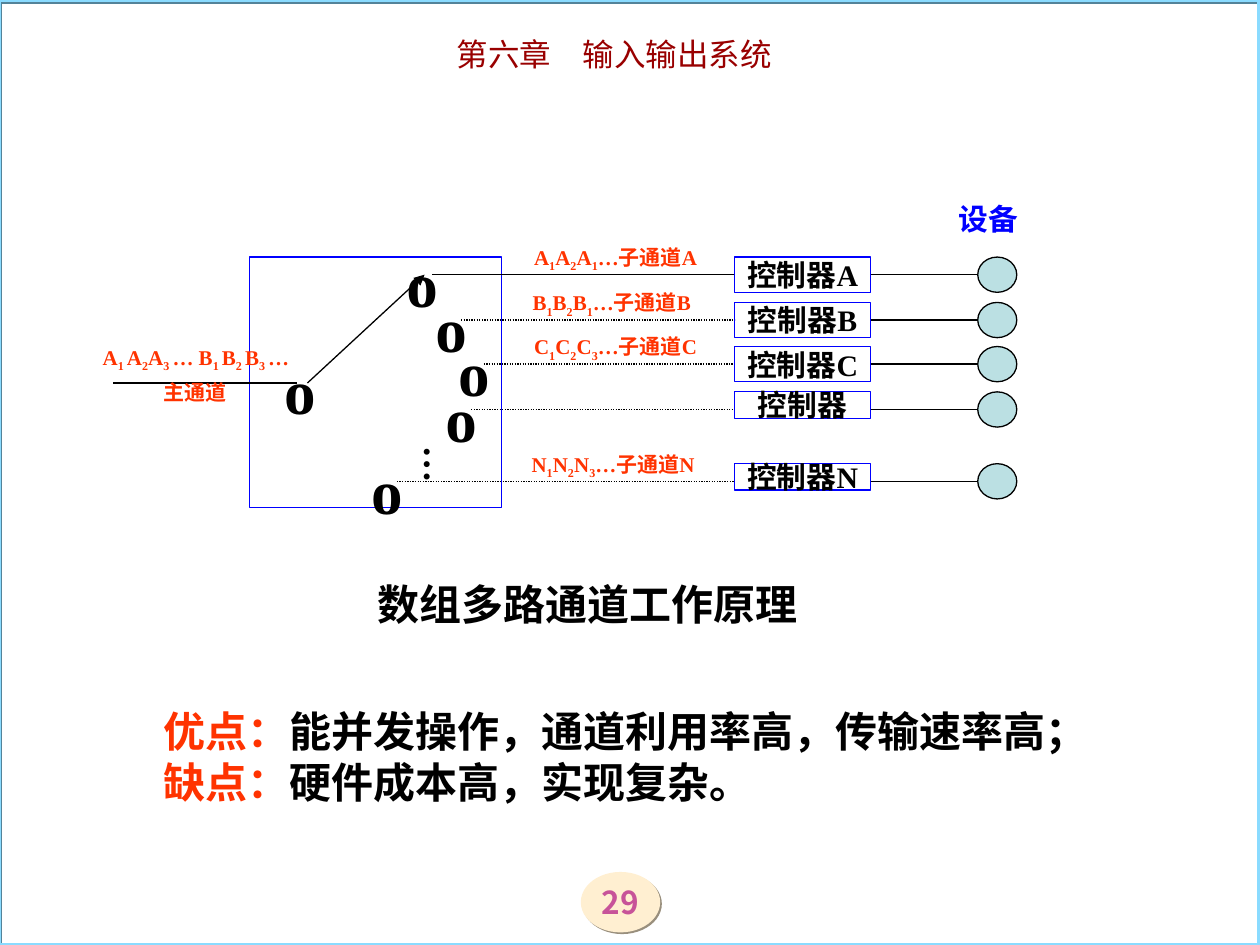
from dataclasses import dataclass

from lxml.etree import SubElement
from pptx import Presentation
from pptx.dml.color import RGBColor
from pptx.enum.dml import MSO_LINE_DASH_STYLE as Dash
from pptx.enum.shapes import MSO_CONNECTOR as Connector, MSO_SHAPE as Shape
from pptx.enum.text import MSO_ANCHOR as Anchor, MSO_AUTO_SIZE as AutoSize, PP_ALIGN as Align
from pptx.oxml.ns import qn
from pptx.util import Inches, Pt


@dataclass(frozen=True)
class Theme:
    """Colours, fonts and type sizes of the slide."""
    black: str = "000000"
    blue: str = "0000FF"
    signal: str = "FF3300"
    chapter: str = "990000"
    device: str = "BBE0E3"
    frame: str = "8ADBFF"
    frame_shadow: str = "538399"
    badge: str = "FFEFD1"
    badge_shadow: str = "998F7D"
    page: str = "C75399"
    serif: str = "Times New Roman"
    sans: str = "Arial"
    cjk: str = "Noto Sans CJK SC"
    cjk_title: str = "Noto Sans CJK JP"
    small: int = 12
    label: int = 17
    heading: int = 18
    dots: int = 21
    body: int = 24
    contact: int = 36


@dataclass(frozen=True)
class Channel:
    """One subchannel: contact, controller and device on a common axis."""
    axis: float
    contact_left: float
    controller: str
    controller_height: float
    stream: str = ""
    stream_left: float = 4.11


THEME = Theme()
CHANNELS = (
    Channel(2.18, 3.14, "控制器A", 0.28, "A|1|A|2|A|1|…子通道A"),
    Channel(2.54, 3.37, "控制器B", 0.28, "B|1|B|2|B|1|…子通道B", 4.08),
    Channel(2.89, 3.55, "控制器C", 0.28, "C|1|C|2|C|3|…子通道C"),
    Channel(3.25, 3.45, "控制器", 0.21),
    Channel(3.82, 2.86, "控制器N", 0.21, "N|1|N|2|N|3|…子通道N", 4.09),
)


def subscripts(marked):
    """Split text at bars into alternating normal and subscript parts."""
    return [(part, {"baseline": -25000} if index % 2 else {})
            for index, part in enumerate(marked.split("|"))]


def write(shape, parts, *, size, color=THEME.black, font=THEME.serif, cjk=THEME.cjk,
          bold=True, italic=False, align=Align.CENTER, anchor=Anchor.TOP,
          margins=(0.09, 0.04), wrap=False):
    """Fill a shape with one paragraph of plain text or formatted parts."""
    frame = shape.text_frame
    frame.auto_size, frame.word_wrap, frame.vertical_anchor = AutoSize.NONE, wrap, anchor
    frame.margin_left = frame.margin_right = Inches(margins[0])
    frame.margin_top = frame.margin_bottom = Inches(margins[1])
    paragraph = frame.paragraphs[0]
    paragraph.alignment = align
    for content, override in [(parts, {})] if isinstance(parts, str) else parts:
        run = paragraph.add_run()
        run.text = content
        run.font.size, run.font.name = Pt(size), font
        run.font.bold, run.font.italic = bold, italic
        run.font.color.rgb = RGBColor.from_string(override.get("color", color))
        properties = run._r.get_or_add_rPr()
        SubElement(properties, qn("a:ea")).set("typeface", cjk)
        if "baseline" in override:
            properties.set("baseline", str(override["baseline"]))


def add_text(slide, parts, left, top, width, height, **style):
    """Add a text box and return it."""
    box = slide.shapes.add_textbox(Inches(left), Inches(top), Inches(width), Inches(height))
    write(box, parts, **style)
    return box


def add_figure(slide, kind, left, top, width, height, fill=None, line=None, weight=0.75):
    """Add a preset shape with optional fill and outline."""
    figure = slide.shapes.add_shape(kind, Inches(left), Inches(top), Inches(width), Inches(height))
    figure.shadow.inherit = False
    if fill:
        figure.fill.solid()
        figure.fill.fore_color.rgb = RGBColor.from_string(fill)
    else:
        figure.fill.background()
    if line:
        figure.line.color.rgb = RGBColor.from_string(line)
        figure.line.width = Pt(weight)
    else:
        figure.line.fill.background()
    return figure


def cast_shadow(figure, color):
    """Give a figure a hard shadow to the lower right."""
    effects = figure._element.spPr.find(qn("a:effectLst"))
    shadow = SubElement(effects, qn("a:outerShdw"), dist=str(Pt(1.4)), dir="2700000",
                        algn="ctr", rotWithShape="0")
    SubElement(shadow, qn("a:srgbClr"), val=color)


def add_wire(slide, start, end, dotted=False, arrow=False):
    """Add a thin black line between two points."""
    wire = slide.shapes.add_connector(Connector.STRAIGHT, *map(Inches, (*start, *end)))
    wire.line.color.rgb = RGBColor.from_string(THEME.black)
    wire.line.width = Pt(0.75)
    if dotted:
        wire.line.dash_style = Dash.ROUND_DOT
    if arrow:
        SubElement(wire.line._get_or_add_ln(), qn("a:tailEnd"), type="triangle")
    SubElement(wire._element.spPr, qn("a:effectLst"))


def add_contact(slide, left, top):
    """Add one switch contact."""
    add_text(slide, "o", left, top, 0.42, 0.69, size=THEME.contact)


def add_channel(slide, channel, dotted):
    """Add a subchannel from its contact to its device."""
    axis, top = channel.axis, channel.axis - 0.14
    add_contact(slide, channel.contact_left, axis - 0.28)
    add_wire(slide, (channel.contact_left + 0.29, axis), (5.83, axis), dotted)
    controller = add_figure(slide, Shape.RECTANGLE, 5.83, top, 1.08,
                            channel.controller_height, line=THEME.blue)
    write(controller, channel.controller, size=THEME.label, anchor=Anchor.MIDDLE)
    add_wire(slide, (6.91, axis), (7.76, axis))
    add_figure(slide, Shape.OVAL, 7.76, top, 0.31, 0.28, THEME.device, THEME.black)
    if channel.stream:
        add_text(slide, subscripts(channel.stream), channel.stream_left, axis - 0.28,
                 1.55, 0.31, size=THEME.small, color=THEME.signal)


def add_switch(slide):
    """Add the main channel and the rotating switch."""
    add_figure(slide, Shape.RECTANGLE, 1.98, 2.04, 2, 1.99, line=THEME.blue)
    add_wire(slide, (2.44, 3.04), (3.37, 2.18), arrow=True)
    add_contact(slide, 2.17, 2.75)
    add_wire(slide, (0.9, 3.04), (2.36, 3.04))
    add_text(slide, subscripts("A|1 |A|2|A|3 |… B|1 |B|2 |B|3 |…"), 0.67, 2.69, 1.77, 0.31,
             size=THEME.small, color=THEME.signal, wrap=True)
    add_text(slide, "主通道", 1.21, 2.97, 0.67, 0.29, size=THEME.small, color=THEME.signal)
    more = add_text(slide, "…", 3.18, 3.46, 0.52, 0.42, size=THEME.dots, italic=True,
                    margins=(0.04, 0.09), wrap=True)
    more.text_frame._txBody.bodyPr.set("vert", "eaVert")


def add_surround(slide):
    """Add the page frame, the page badge and the chapter title."""
    badge = add_figure(slide, Shape.OVAL, 4.61, 6.92, 0.63, 0.48, THEME.badge)
    cast_shadow(badge, THEME.badge_shadow)
    write(badge, "29", size=THEME.heading, color=THEME.page, font=THEME.cjk,
          anchor=Anchor.MIDDLE, margins=(0, 0))
    border = add_figure(slide, Shape.RECTANGLE, -0.01, 0, 10, 7.5, line=THEME.frame, weight=2.25)
    cast_shadow(border, THEME.frame_shadow)
    title = slide.shapes.title
    title.left, title.top, title.width, title.height = map(Inches, (2.08, 0.23, 5.59, 0.4))
    write(title, "第六章　输入输出系统", size=THEME.heading, color=THEME.chapter,
          font=THEME.cjk_title, cjk=THEME.cjk_title, bold=False, margins=(0.1, 0.05), wrap=True)


def main():
    """Build and save the slide."""
    deck = Presentation()
    deck.slide_width, deck.slide_height = Inches(10), Inches(7.5)
    slide = deck.slides.add_slide(deck.slide_layouts[5])
    add_surround(slide)
    add_text(slide, "数组多路通道工作原理", 2.9, 4.54, 3.53, 0.5, size=THEME.body,
             font=THEME.sans, align=Align.LEFT, anchor=Anchor.MIDDLE, margins=(0.1, 0.05))
    add_switch(slide)
    for index, channel in enumerate(CHANNELS):
        add_channel(slide, channel, dotted=index > 0)
    add_text(slide, "设备", 7.52, 1.55, 0.65, 0.37, size=THEME.label, color=THEME.blue)
    red = {"color": THEME.signal}
    add_text(slide, [("优点：", red), ("能并发操作，通道利用率高，传输速率高；", {}),
                     ("缺点：", red), ("硬件成本高，实现复杂。", {})],
             1.21, 5.56, 7.57, 0.89, size=THEME.body, align=Align.LEFT, wrap=True)
    deck.save("out.pptx")


if __name__ == "__main__":
    main()
